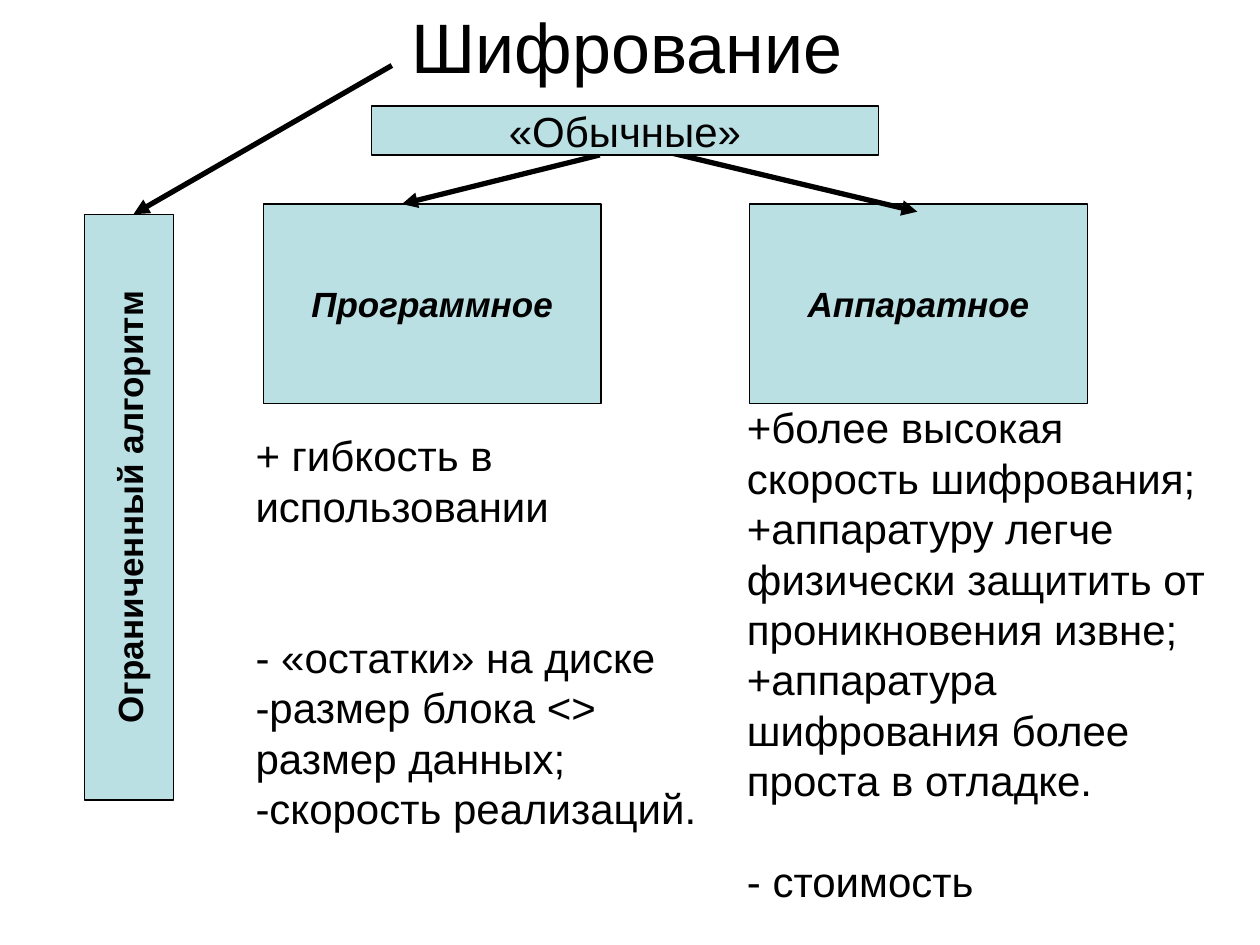
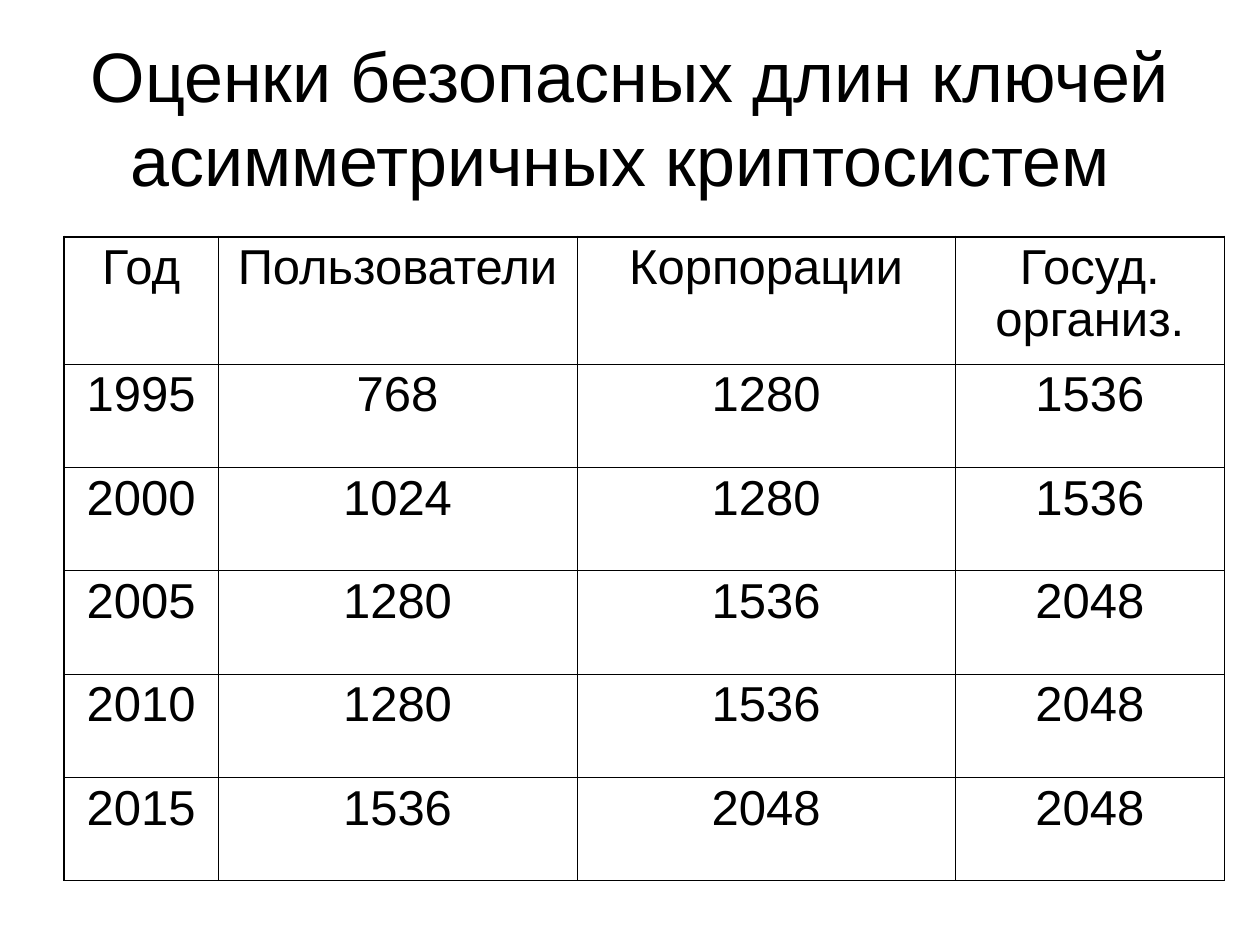
from lxml import etree
from pptx import Presentation, util as u
from pptx.dml.color import RGBColor
from pptx.enum import shapes, text
from pptx.oxml import parse_xml
from pptx.oxml.ns import nsdecls, qn

BLACK = "000000"
PALE_BLUE = "BBE0E3"
FONT = "Arial"
TITLE_SIZE = 40
LEFT, CENTER = text.PP_ALIGN.LEFT, text.PP_ALIGN.CENTER


def color(value):
    return RGBColor.from_string(value)


def write(frame, lines, size, alignment, line_spacing, bold=False, italic=False):
    frame.text = "\n".join(lines)
    for paragraph in frame.paragraphs:
        paragraph.alignment = alignment
        paragraph.line_spacing = line_spacing
        for run in paragraph.runs:
            run.font.name = FONT
            run.font.size = u.Pt(size)
            run.font.bold = bold
            run.font.italic = italic
            run.font.color.rgb = color(BLACK)


presentation = Presentation()
presentation.slide_width = u.Inches(10)
presentation.slide_height = u.Inches(7.5)

# Slides with their titles
titles = [
    ("Шифрование", (2.67, 0.05, 4.61, 0.63)),
    ("Оценки безопасных длин ключей асимметричных криптосистем ", (0.5, 0.3, 9, 1.25)),
]
slides = []
for title, place in titles:
    slide = presentation.slides.add_slide(presentation.slide_layouts[6])
    title_box = slide.shapes.add_textbox(*map(u.Inches, place))
    title_box.text_frame.word_wrap = True
    title_box.text_frame.vertical_anchor = text.MSO_ANCHOR.MIDDLE
    write(title_box.text_frame, [title], TITLE_SIZE, CENTER, u.Pt(1.2 * TITLE_SIZE))
    slides.append(slide)
encryption_slide, key_slide = slides

# Pros and cons: the last value is the paragraph that opens the drawbacks and its gap in lines
columns = [
    ((5.83, 3.14, 4.05, 4.1), [
        "+более высокая скорость шифрования;",
        "+аппаратуру легче физически защитить от проникновения извне;",
        "+аппаратура шифрования более проста в отладке.",
        "- стоимость",
    ], (3, 1)),
    ((1.93, 3.36, 3.7, 3.3), [
        "+ гибкость в использовании",
        "- «остатки» на диске",
        "-размер блока <> размер данных;",
        "-скорость реализаций.",
    ], (1, 2)),
]
for place, lines, (first_drawback, gap) in columns:
    column = encryption_slide.shapes.add_textbox(*map(u.Inches, place))
    frame = column.text_frame
    frame.word_wrap = True
    frame.vertical_anchor = text.MSO_ANCHOR.MIDDLE
    write(frame, lines, 24, LEFT, u.Pt(28.8))
    frame.paragraphs[first_drawback].space_before = u.Pt(28.8 * gap)

# Arrows and boxes of the scheme
arrows = [
    (3.11, 0.52, 1.06, 1.7),
    (4.76, 1.23, 3.19, 1.62),
    (5.31, 1.21, 7.28, 1.68),
]
boxes = [
    ("Ограниченный алгоритм", (-1.3, 3.67, 4.65, 0.71), 270, 20, True, False),
    ("Программное", (2.09, 1.62, 2.68, 1.58), 0, 20, True, True),
    ("Аппаратное", (5.95, 1.62, 2.68, 1.58), 0, 20, True, True),
    ("«Обычные»", (2.95, 0.84, 4.02, 0.39), 0, 24, False, False),
]
for label, place, rotation, size, bold, italic in boxes:
    # The arrows lie over the three classes and under the heading box
    if label == "«Обычные»":
        for ends in arrows:
            arrow = encryption_slide.shapes.add_connector(
                shapes.MSO_CONNECTOR.STRAIGHT, *map(u.Inches, ends))
            arrow.line.color.rgb = color(BLACK)
            arrow.line.width = u.Pt(3)
            etree.SubElement(arrow.line._get_or_add_ln(), qn("a:tailEnd"), type="triangle")
            etree.SubElement(arrow._element.spPr, qn("a:effectLst"))
    box = encryption_slide.shapes.add_shape(
        shapes.MSO_SHAPE.RECTANGLE, *map(u.Inches, place))
    box.rotation = rotation
    box.shadow.inherit = False
    box.fill.solid()
    box.fill.fore_color.rgb = color(PALE_BLUE)
    box.line.color.rgb = color(BLACK)
    box.line.width = u.Pt(0.75)
    box.text_frame.word_wrap = False
    box.text_frame.vertical_anchor = text.MSO_ANCHOR.MIDDLE
    write(box.text_frame, [label], size, CENTER, u.Pt(1.2 * size), bold, italic)

# Table of key lengths
key_lengths = [
    ("Год", "Пользователи", "Корпорации", "Госуд. организ."),
    ("1995", "768", "1280", "1536"),
    ("2000", "1024", "1280", "1536"),
    ("2005", "1280", "1536", "2048"),
    ("2010", "1280", "1536", "2048"),
    ("2015", "1536", "2048", "2048"),
]
column_widths = [1.22, 2.85, 3, 2.14]
row_heights = [1.01] + [0.82] * 5
last_row, last_column = len(key_lengths) - 1, len(column_widths) - 1
table = key_slide.shapes.add_table(
    len(key_lengths), len(column_widths), u.Inches(0.51), u.Inches(1.88),
    u.Inches(sum(column_widths)), u.Inches(sum(row_heights))).table
table.first_row = False
table.horz_banding = False
for column, width in zip(table.columns, column_widths):
    column.width = u.Inches(width)
for row, height in zip(table.rows, row_heights):
    row.height = u.Inches(height)

for row_index, values in enumerate(key_lengths):
    for column_index, value in enumerate(values):
        cell = table.cell(row_index, column_index)
        write(cell.text_frame, [value], 28, CENTER, 0.95)
        # Thin inner lines, thicker outer frame
        borders = {
            "lnL": 1.08 if column_index == 0 else 0.45,
            "lnR": 1.08 if column_index == last_column else 0.45,
            "lnT": 1.47 if row_index == 0 else 0.45,
            "lnB": 1.08 if row_index == last_row else 0.45,
        }
        properties = cell._tc.get_or_add_tcPr()
        for side, width in borders.items():
            properties.append(parse_xml(
                f'<a:{side} {nsdecls("a")} w="{u.Pt(width)}"><a:solidFill>'
                f'<a:srgbClr val="{BLACK}"/></a:solidFill></a:{side}>'))
        cell.fill.background()

presentation.save("out.pptx")
